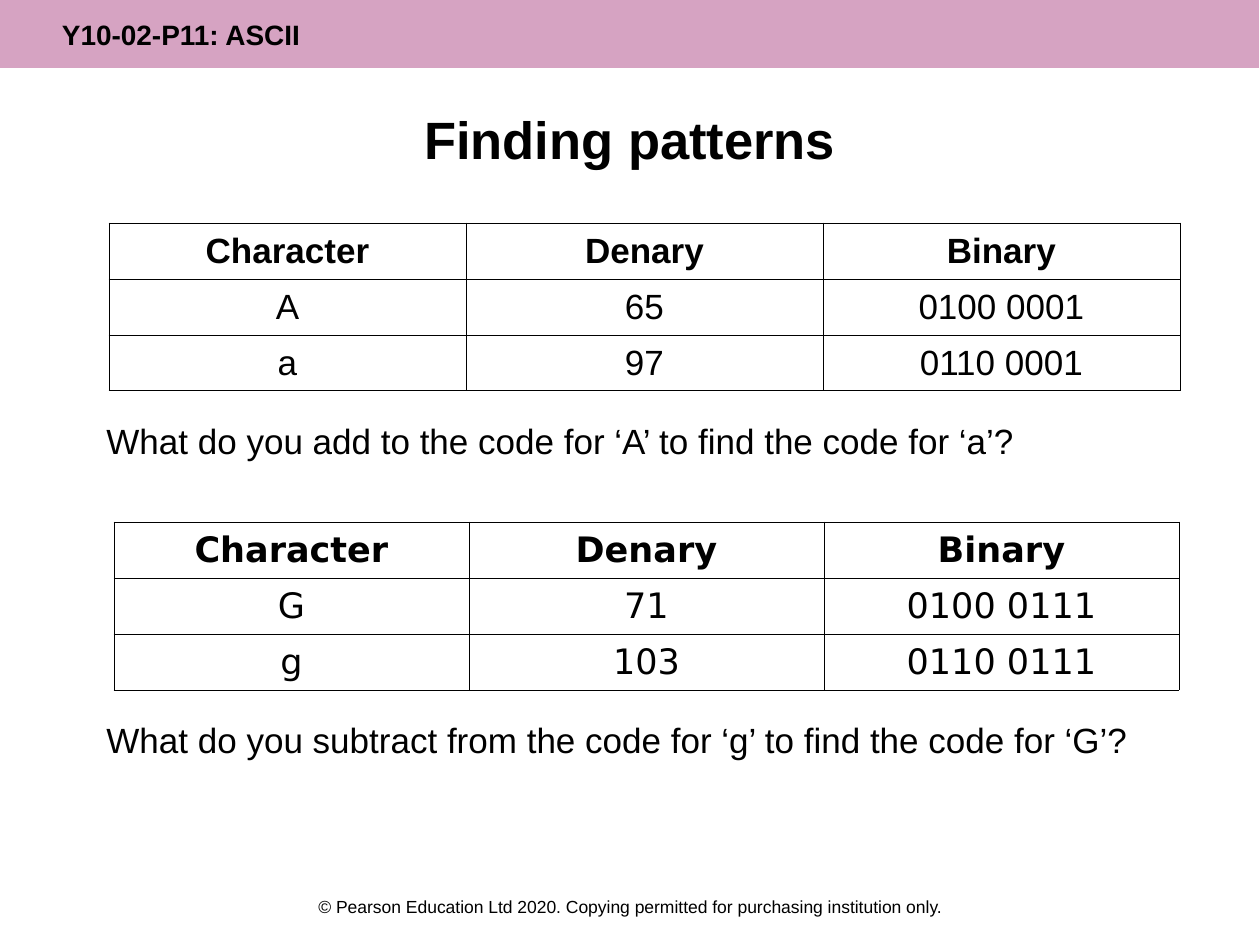
from dataclasses import dataclass

from lxml import etree
from pptx import Presentation
from pptx.dml.color import RGBColor
from pptx.enum.shapes import MSO_SHAPE
from pptx.enum.text import MSO_ANCHOR, PP_ALIGN
from pptx.oxml.ns import qn
from pptx.util import Pt

RECTANGLE = MSO_SHAPE.RECTANGLE
LEFT, CENTER = PP_ALIGN.LEFT, PP_ALIGN.CENTER
TOP, MIDDLE = MSO_ANCHOR.TOP, MSO_ANCHOR.MIDDLE
EMU_PER_PX = 914400 / 126
BORDER_TAGS = ("a:lnL", "a:lnR", "a:lnT", "a:lnB")


@dataclass(frozen=True)
class Theme:
    ink: str = "000000"
    band: str = "AF4886"
    band_alpha: int = 50
    font: str = "Arial"
    second_font: str = "DejaVu Sans"
    title: int = 30
    body: int = 20
    header: int = 16
    footer: int = 10
    rule: float = 0.45


def px(value):
    return round(value * EMU_PER_PX)


def write(frame, *lines, size, color, font, bold=False, align=LEFT, gap=0):
    frame.word_wrap = True
    for index, line in enumerate(lines):
        para = frame.add_paragraph() if index else frame.paragraphs[0]
        para.alignment = align
        if index:
            para.space_before = Pt(gap)
        span = para.add_run()
        span.text = line
        span.font.size = Pt(size)
        span.font.name = font
        span.font.bold = bold
        span.font.color.rgb = RGBColor.from_string(color)


class Page:
    def __init__(self, deck, theme):
        self.theme = theme
        self.slide = deck.slides.add_slide(deck.slide_layouts[6])

    def band(self, left, top, width, height, text, inset):
        theme = self.theme
        band = self.slide.shapes.add_shape(
            RECTANGLE, px(left), px(top), px(width), px(height))
        band.shadow.inherit = False
        band.line.fill.background()
        band.fill.solid()
        band.fill.fore_color.rgb = RGBColor.from_string(theme.band)
        color = band.fill._xPr.find(".//" + qn("a:srgbClr"))
        etree.SubElement(color, qn("a:alpha"), val=str(theme.band_alpha * 1000))
        frame = band.text_frame
        frame.margin_left = px(inset)
        frame.vertical_anchor = MIDDLE
        write(frame, text, size=theme.header, color=theme.ink,
              font=theme.font, bold=True)

    def text(self, left, top, width, height, *lines, size, **style):
        box = self.slide.shapes.add_textbox(
            px(left), px(top), px(width), px(height))
        box.text_frame.vertical_anchor = TOP
        write(box.text_frame, *lines, size=size, color=self.theme.ink,
              font=self.theme.font, **style)

    def table(self, left, top, column_width, row_height, rows, font):
        count = len(rows[0])
        frame = self.slide.shapes.add_table(
            len(rows), count, px(left), px(top),
            px(column_width * count), px(row_height * len(rows)))
        table = frame.table
        for column in table.columns:
            column.width = px(column_width)
        for row_index, values in enumerate(rows):
            table.rows[row_index].height = px(row_height)
            for column_index, value in enumerate(values):
                cell = table.cell(row_index, column_index)
                cell.vertical_anchor = MIDDLE
                self.borders(cell)
                cell.fill.background()
                write(cell.text_frame, value, size=self.theme.body,
                      color=self.theme.ink, font=font,
                      bold=row_index == 0, align=CENTER)

    def borders(self, cell):
        properties = cell._tc.get_or_add_tcPr()
        for tag in BORDER_TAGS:
            line = etree.SubElement(properties, qn(tag),
                                    w=str(Pt(self.theme.rule)))
            fill = etree.SubElement(line, qn("a:solidFill"))
            etree.SubElement(fill, qn("a:srgbClr"), val=self.theme.ink)


def main():
    theme = Theme()
    deck = Presentation()
    deck.slide_width, deck.slide_height = px(1260), px(945)
    page = Page(deck, theme)
    page.band(0, 0, 1259, 68, "Y10-02-P11: ASCII", inset=62)
    page.text(63, 101, 1134, 118, "Finding patterns",
              size=theme.title, bold=True, align=CENTER)
    page.text(94, 413, 1101, 387,
              "What do you add to the code for ‘A’ to find the code for ‘a’?",
              "What do you subtract from the code for ‘g’ to find the code for ‘G’?",
              size=theme.body, gap=147)
    page.text(0, 890, 1260, 39,
              "© Pearson Education Ltd 2020. Copying permitted for "
              "purchasing institution only.",
              size=theme.footer, align=CENTER)
    heading = ("Character", "Denary", "Binary")
    page.table(109, 223, 357, 56, (
        heading, ("A", "65", "0100 0001"), ("a", "97", "0110 0001"),
    ), theme.font)
    page.table(114, 522, 355, 56, (
        heading, ("G", "71", "0100 0111"), ("g", "103", "0110 0111"),
    ), theme.second_font)
    deck.save("out.pptx")


if __name__ == "__main__":
    main()
